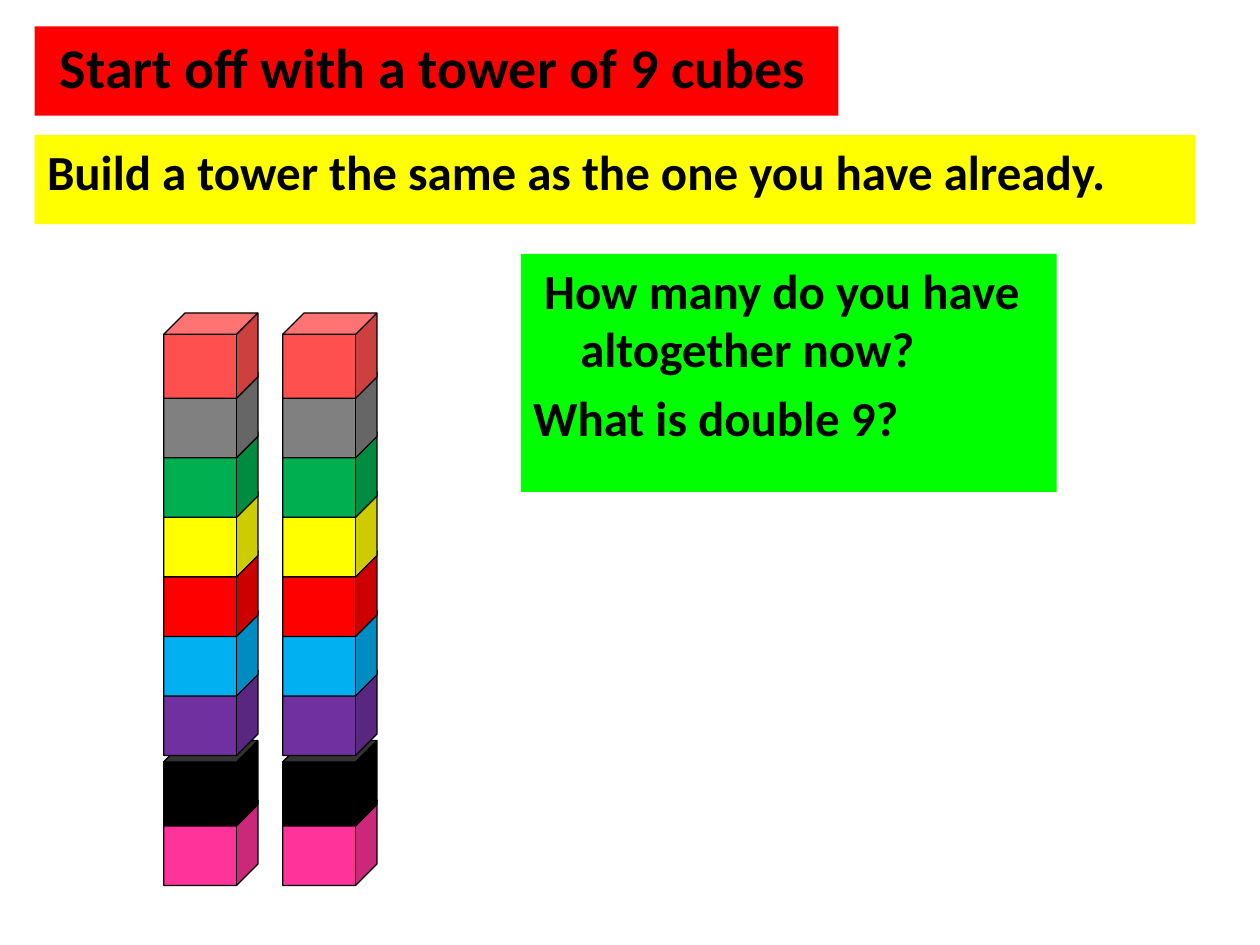
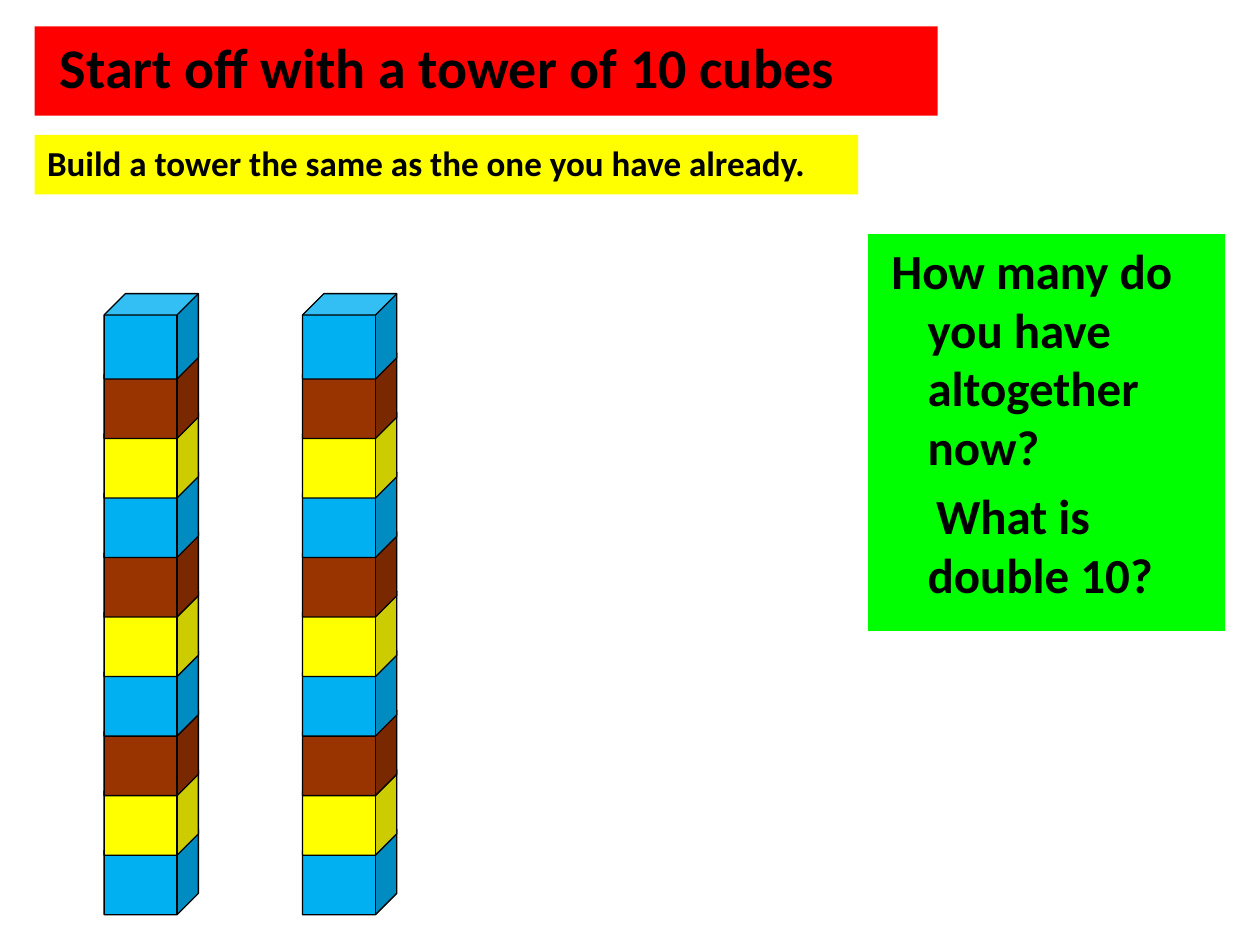
import pptx
import pptx.util
import pptx.dml.color
import pptx.enum.shapes
import pptx.enum.text

Cm, Pt = pptx.util.Cm, pptx.util.Pt
RGBColor = pptx.dml.color.RGBColor

BLACK = RGBColor(0x00, 0x00, 0x00)
RED = RGBColor(0xFF, 0x00, 0x00)
YELLOW = RGBColor(0xFF, 0xFF, 0x00)
LIME = RGBColor(0x00, 0xFF, 0x00)
PINK = RGBColor(0xFF, 0x33, 0x99)
PURPLE = RGBColor(0x70, 0x30, 0xA0)
BLUE = RGBColor(0x00, 0xB0, 0xF0)
GREEN = RGBColor(0x00, 0xB0, 0x50)
GREY = RGBColor(0x80, 0x80, 0x80)
CORAL = RGBColor(0xFF, 0x50, 0x50)
BROWN = RGBColor(0x99, 0x33, 0x00)

FONT = "Calibri"
MARGIN = 0.95
STEP = 1.2
CUBE_W, CUBE_H = 1.9, 1.72
ASK = "How many do you have altogether now?"
BUILD = "Build a tower the same as the one you have already."


def fill_box(shape, box, color, size, lines):
    """Place a coloured box; lines holds (text, first-line start in cm)."""
    shape.left, shape.top, shape.width, shape.height = map(Cm, box)
    shape.fill.solid()
    shape.fill.fore_color.rgb = color
    frame = shape.text_frame
    frame.word_wrap = True
    frame.auto_size = pptx.enum.text.MSO_AUTO_SIZE.NONE
    frame.vertical_anchor = pptx.enum.text.MSO_ANCHOR.TOP
    frame.text = "\n".join(text for text, start in lines)
    for i, (para, (text, start)) in enumerate(zip(frame.paragraphs, lines)):
        props = para._p.get_or_add_pPr()
        props.set("marL", str(Cm(MARGIN)))
        props.set("indent", str(Cm(start - MARGIN)))
        para.alignment = pptx.enum.text.PP_ALIGN.LEFT
        para.space_before = Pt(0.2 * size if i else 0)
        font = para.runs[0].font
        font.name, font.size, font.bold = FONT, Pt(size), True
        font.color.rgb = BLACK


def add_panel(slide, box, color, size, lines):
    shape = slide.shapes.add_shape(
        pptx.enum.shapes.MSO_SHAPE.RECTANGLE, *map(Cm, box))
    shape.shadow.inherit = False
    shape.line.fill.background()
    fill_box(shape, box, color, size, lines)


def add_tower(slide, left, base, colors, gaps):
    """Stack cubes upwards from base; gaps maps a cube to extra space above."""
    top = base
    for i, color in enumerate(colors):
        cube = slide.shapes.add_shape(
            pptx.enum.shapes.MSO_SHAPE.CUBE,
            Cm(left), Cm(top), Cm(CUBE_W), Cm(CUBE_H))
        cube.shadow.inherit = False
        cube.fill.solid()
        cube.fill.fore_color.rgb = color
        cube.line.color.rgb = BLACK
        cube.line.width = Pt(0.75)
        top -= STEP + gaps.get(i, 0)


def add_task(deck, count, title_w, build, ask, double, lefts, base, colors,
             gaps):
    """Add a doubling slide; build is (width, height, text size)."""
    slide = deck.slides.add_slide(deck.slide_layouts[5])
    fill_box(slide.shapes.title, (0.7, 0.53, title_w, 1.8), RED, 32,
             [(f"Start off with a tower of {count} cubes", 0.25)])
    width, height, size = build
    add_panel(slide, (0.7, 2.72, width, height), YELLOW, size, [(BUILD, 0)])
    add_panel(slide, ask, LIME, 28,
              [(ASK, 0.22), (f"What is double {count}?", double)])
    for left in lefts:
        add_tower(slide, left, base, colors, gaps)


def main():
    deck = pptx.Presentation()
    deck.slide_width, deck.slide_height = Cm(25.4), Cm(19.05)
    add_task(deck, 9, 16.2, (23.4, 1.8, 28), (10.5, 5.12, 10.8, 4.8), 0,
             (3.3, 5.7), 16.13,
             [PINK, BLACK, PURPLE, BLUE, RED, YELLOW, GREEN, GREY, CORAL],
             {1: 0.22})
    add_task(deck, 10, 18.2, (16.6, 1.2, 20), (17.5, 4.72, 7.2, 8), 1.12,
             (2.1, 6.1), 16.72, [BLUE, YELLOW, BROWN] * 3 + [BLUE], {})
    deck.save("out.pptx")


if __name__ == "__main__":
    main()
